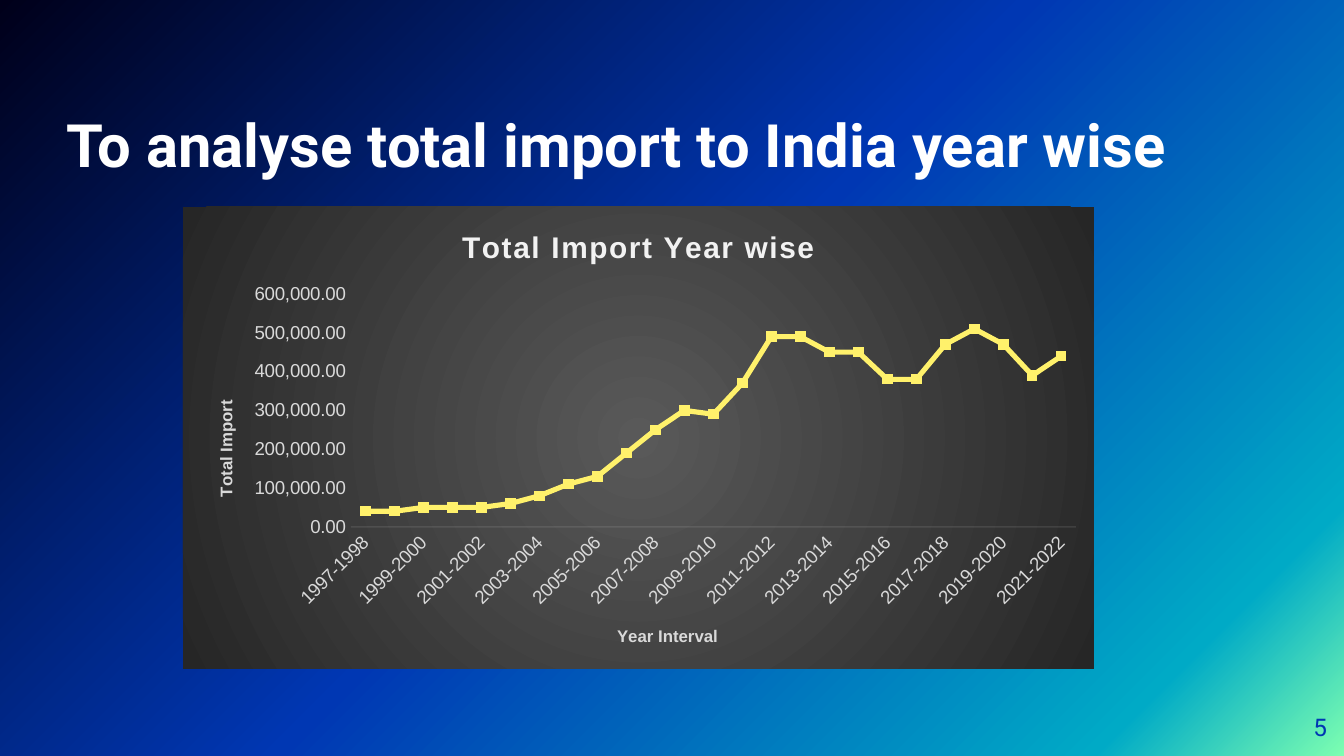
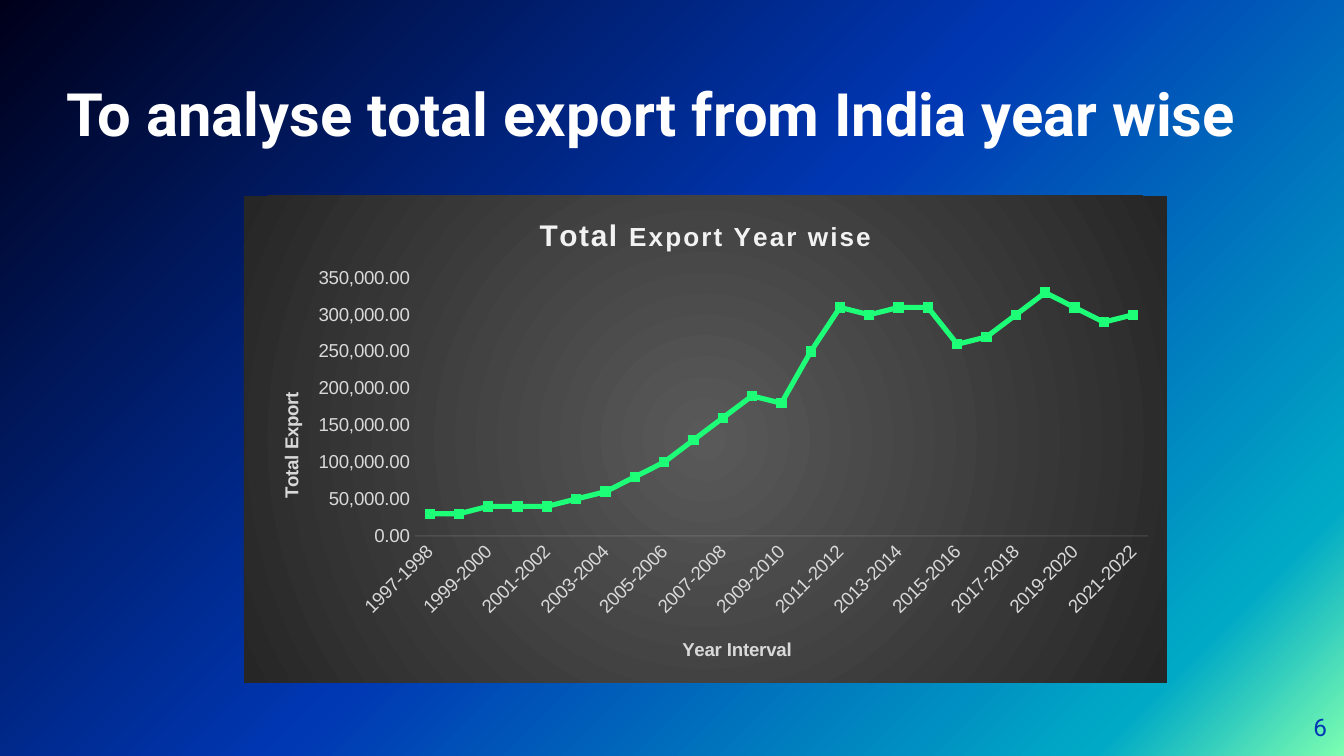
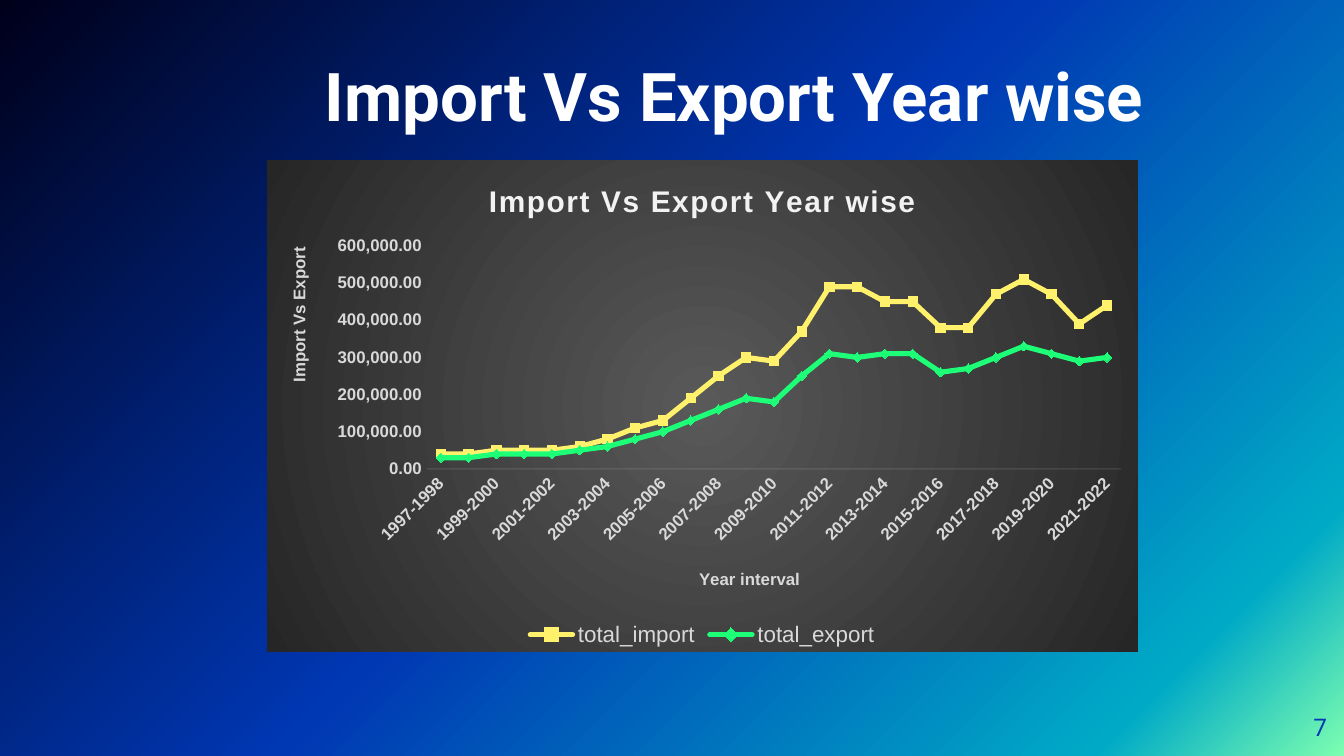
from collections import namedtuple

from lxml import etree
from pptx import Presentation
from pptx.chart.data import CategoryChartData
from pptx.dml.color import RGBColor
from pptx.enum.chart import XL_CHART_TYPE, XL_LEGEND_POSITION, XL_TICK_MARK
from pptx.enum.text import MSO_ANCHOR, PP_ALIGN
from pptx.oxml import parse_xml
from pptx.oxml.ns import nsdecls, qn
from pptx.util import Pt

LINE = XL_CHART_TYPE.LINE
LINE_STACKED = XL_CHART_TYPE.LINE_STACKED
LEGEND_BOTTOM = XL_LEGEND_POSITION.BOTTOM
NO_TICK = XL_TICK_MARK.NONE
BOTTOM, MIDDLE = MSO_ANCHOR.BOTTOM, MSO_ANCHOR.MIDDLE
LEFT, RIGHT = PP_ALIGN.LEFT, PP_ALIGN.RIGHT

Box = namedtuple("Box", "left top width height")
Text = namedtuple("Text", "words size")

SLIDE = Box(0, 0, 1344, 756)
PAGE_NUMBER = Box(1246, 698, 81, 58)
HEADING_FONT, CHART_FONT = "Roboto", "Arial"
WHITE, BLUE, PALE, GREY = "FFFFFF", "0037B3", "F2F2F2", "D9D9D9"
BACKDROP = [(0, "7DFFB1"), (12, "00AAC6"), (51, BLUE), (100, "00001A")]
BACKDROP_SHADE = '<a:lin ang="13500000" scaled="0"/>'
PANEL = [(0, "595959"), (100, "262626")]
PANEL_SHADE = ('<a:path path="circle"><a:fillToRect l="50000" t="50000" '
               'r="50000" b="50000"/></a:path>')

YEARS = [f"{year}-{year + 1}" for year in range(1997, 2022)]
IMPORTS = [40, 40, 50, 50, 50, 60, 80, 110, 130, 190, 250, 300, 290, 370, 490,
           490, 450, 450, 380, 380, 470, 510, 470, 390, 440]
EXPORTS = [30, 30, 40, 40, 40, 50, 60, 80, 100, 130, 160, 190, 180, 250, 310,
           300, 310, 310, 260, 270, 300, 330, 310, 290, 300]
IMPORT_COLOR, EXPORT_COLOR = "FFF16B", "1EFF78"

PAGES = [
    dict(
        heading=Text("To analyse total import to India year wise", 32),
        heading_box=Box(67, 65, 1109, 115), indent=0,
        chart_box=Box(183, 207, 911, 462), kind=LINE,
        flows=[("Series 1", IMPORTS, IMPORT_COLOR)],
        caption=[Text("Total Import Year wise", 16)],
        plot=Box(168, 87, 725, 233), top_value=600000, step=100000,
        year_title=(Text("Year Interval", 9), (431, 415)),
        value_title=(Text("Total Import", 9), (29, 190)),
        labels=10, bold=False,
    ),
    dict(
        heading=Text("To analyse total export from India year wise", 32),
        heading_box=Box(67, 65, 1179, 84), indent=0,
        chart_box=Box(244, 196, 923, 487), kind=LINE_STACKED,
        flows=[("Series 1", EXPORTS, EXPORT_COLOR)],
        caption=[Text("Total ", 16), Text("Export Year wise", 14)],
        plot=Box(171, 82, 733, 258), top_value=350000, step=50000,
        year_title=(Text("Year Interval", 10), (435, 438)),
        value_title=(Text("Total Export", 10), (32, 193)),
        labels=10, bold=False,
    ),
    dict(
        heading=Text("Import Vs Export Year wise", 36),
        heading_box=Box(191, 51, 1117, 84), indent=134,
        chart_box=Box(267, 160, 871, 492), kind=LINE,
        flows=[("total_import", IMPORTS, IMPORT_COLOR),
               ("total_export", EXPORTS, EXPORT_COLOR)],
        caption=[Text("Import Vs Export Year wise", 16)],
        plot=Box(160, 86, 694, 223), top_value=600000, step=100000,
        year_title=(Text("Year interval", 9), (429, 405)),
        value_title=(Text("Import Vs Export", 9), (18, 84)),
        labels=9, bold=True,
    ),
]


def px(length):
    """Turn px into EMU."""
    return round(length * 914400 / 134.4)


def color(value):
    """Turn a hex string into a colour."""
    return RGBColor.from_string(value)


def set_font(font, name, size, value, bold=False):
    """Set the look of a font."""
    font.name, font.size, font.bold = name, Pt(size), bold
    font.color.rgb = color(value)


def gradient(stops, shade):
    """Return a gradient fill element."""
    marks = "".join(
        f'<a:gs pos="{place * 1000}"><a:srgbClr val="{value}"/></a:gs>'
        for place, value in stops)
    return parse_xml(f'<a:gradFill {nsdecls("a")} rotWithShape="1">'
                     f'<a:gsLst>{marks}</a:gsLst>{shade}</a:gradFill>')


def paint_backdrop(slide):
    """Fill the slide background with the shared gradient."""
    slide.background.fill.solid()
    plain = slide.element.find(".//" + qn("a:solidFill"))
    plain.getparent().replace(plain, gradient(BACKDROP, BACKDROP_SHADE))


def add_label(slide, box, text, value, anchor, align=LEFT, bold=False, indent=0):
    """Add one line of text in a box without insets."""
    frame = slide.shapes.add_textbox(*map(px, box)).text_frame
    frame.word_wrap = True
    frame.vertical_anchor = anchor
    frame.margin_left = frame.margin_right = 0
    frame.margin_top = frame.margin_bottom = 0
    line = frame.paragraphs[0]
    line.alignment = align
    if indent:
        line._p.get_or_add_pPr().set("marL", str(px(indent)))
    run = line.add_run()
    run.text = text.words
    set_font(run.font, HEADING_FONT, text.size, value, bold)


def place(element, settings):
    """Give a chart part a manual layout."""
    former = element.find(qn("c:layout"))
    if former is not None:
        element.remove(former)
    layout = etree.Element(qn("c:layout"))
    manual = etree.SubElement(layout, qn("c:manualLayout"))
    for tag, value in settings:
        etree.SubElement(manual, qn(f"c:{tag}")).set("val", str(value))
    element.insert(0 if element.find(qn("c:tx")) is None else 1, layout)


def shares(box, whole):
    """Return the layout settings of a box or corner within the whole."""
    sizes = (whole.width, whole.height) * 2
    return [(tag, round(length / size, 4))
            for tag, length, size in zip("xywh", box, sizes)]


def write_title(title, texts, value, spacing=0):
    """Write a chart or axis title run by run."""
    line = title.text_frame.paragraphs[0]
    for text in texts:
        run = line.add_run()
        run.text = text.words
        set_font(run.font, CHART_FONT, text.size, value, True)
        if spacing:
            run._r.get_or_add_rPr().set("spc", str(spacing))


def style_axis(axis, title, whole, page, turn):
    """Set the title, labels and ticks of an axis."""
    text, corner = title
    write_title(axis.axis_title, [text], GREY)
    body = axis.axis_title.text_frame._txBody.find(qn("a:bodyPr"))
    body.set("rot", str(turn))
    body.set("vert", "horz")
    place(axis.axis_title._element,
          [("xMode", "edge"), ("yMode", "edge")] + shares(corner, whole))
    axis.has_major_gridlines = False
    axis.major_tick_mark = axis.minor_tick_mark = NO_TICK
    set_font(axis.tick_labels.font, CHART_FONT, page["labels"], GREY, page["bold"])


def style_years(axis, whole, page):
    """Set up the year axis with slanted labels and a faint line."""
    style_axis(axis, page["year_title"], whole, page, 0)
    slant = axis._element.find(qn("c:txPr")).find(qn("a:bodyPr"))
    slant.set("rot", "-2700000")
    slant.set("vert", "horz")
    axis.format.line.width = Pt(0.75)
    axis.format.line.color.rgb = color(PALE)
    faint = axis._element.find(qn("c:spPr")).find(".//" + qn("a:srgbClr"))
    etree.SubElement(faint, qn("a:alpha")).set("val", "10000")


def style_values(axis, whole, page):
    """Set up the value axis."""
    style_axis(axis, page["value_title"], whole, page, -5400000)
    axis.minimum_scale, axis.maximum_scale = 0, page["top_value"]
    axis.major_unit = page["step"]
    axis.tick_labels.number_format = "#,##0.00"
    axis.tick_labels.number_format_is_linked = False
    axis.format.line.fill.background()


def paint_panel(chart):
    """Fill the chart area with the shared radial gradient."""
    panel = etree.Element(qn("c:spPr"))
    panel.append(gradient(PANEL, PANEL_SHADE))
    edge = etree.SubElement(panel, qn("a:ln"))
    etree.SubElement(edge, qn("a:noFill"))
    chart._chartSpace.find(qn("c:chart")).addnext(panel)


def add_trade_chart(slide, box, page):
    """Add the line chart of trade by year."""
    trade = CategoryChartData(number_format="#,##0.00")
    trade.categories = YEARS
    for name, thousands, _ in page["flows"]:
        trade.add_series(name, [value * 1000 for value in thousands])
    chart = slide.shapes.add_chart(page["kind"], *map(px, box), trade).chart
    paint_panel(chart)
    set_font(chart.font, CHART_FONT, 10, "000000")
    chart.has_title = True
    write_title(chart.chart_title, page["caption"], PALE, 100)
    chart.chart_title.include_in_layout = False
    style_years(chart.category_axis, box, page)
    style_values(chart.value_axis, box, page)
    place(chart._chartSpace.find(".//" + qn("c:plotArea")),
          [("layoutTarget", "inner"), ("xMode", "edge"), ("yMode", "edge")]
          + shares(page["plot"], box))
    chart.plots[0].vary_by_categories = False
    for series, (_, _, value) in zip(chart.plots[0].series, page["flows"]):
        series.smooth = False
        series.marker.style = None
        series.format.line.width = Pt(2.75)
        series.format.line.color.rgb = color(value)
        series.format.line._ln.set("cap", "rnd")
    chart.has_legend = len(page["flows"]) > 1
    if chart.has_legend:
        chart.legend.position = LEGEND_BOTTOM
        chart.legend.include_in_layout = False
        set_font(chart.legend.font, CHART_FONT, 12, GREY)


def add_chart_page(deck, number, page):
    """Add a slide with a heading, a page number and a chart."""
    slide = deck.slides.add_slide(deck.slide_layouts[6])
    paint_backdrop(slide)
    add_label(slide, page["heading_box"], page["heading"], WHITE, BOTTOM,
              bold=True, indent=page["indent"])
    add_label(slide, PAGE_NUMBER, Text(str(number), 13), BLUE, MIDDLE, RIGHT)
    add_trade_chart(slide, page["chart_box"], page)


def main():
    """Build the deck."""
    deck = Presentation()
    deck.slide_width, deck.slide_height = px(SLIDE.width), px(SLIDE.height)
    for number, page in enumerate(PAGES, 5):
        add_chart_page(deck, number, page)
    deck.save("out.pptx")


if __name__ == "__main__":
    main()
